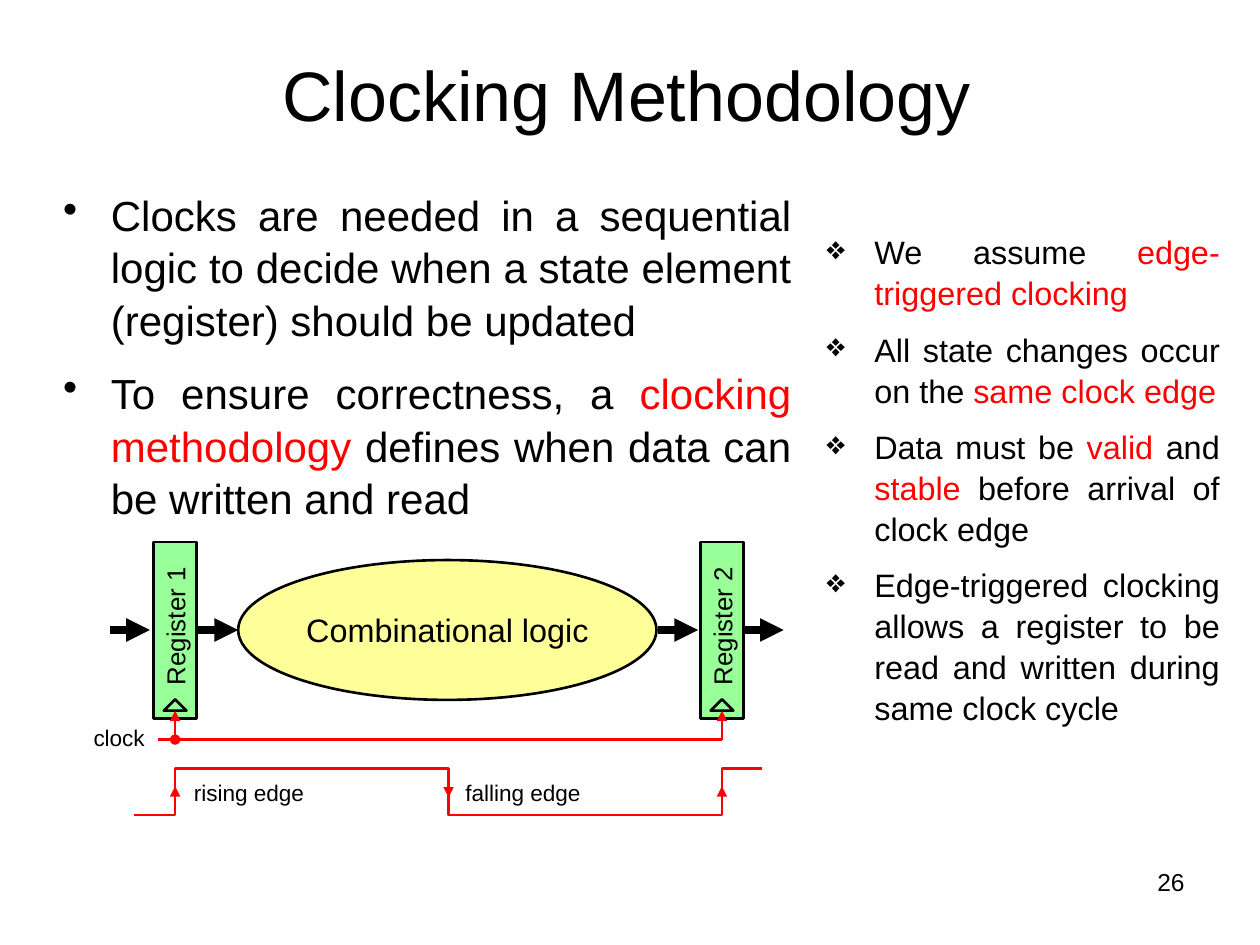
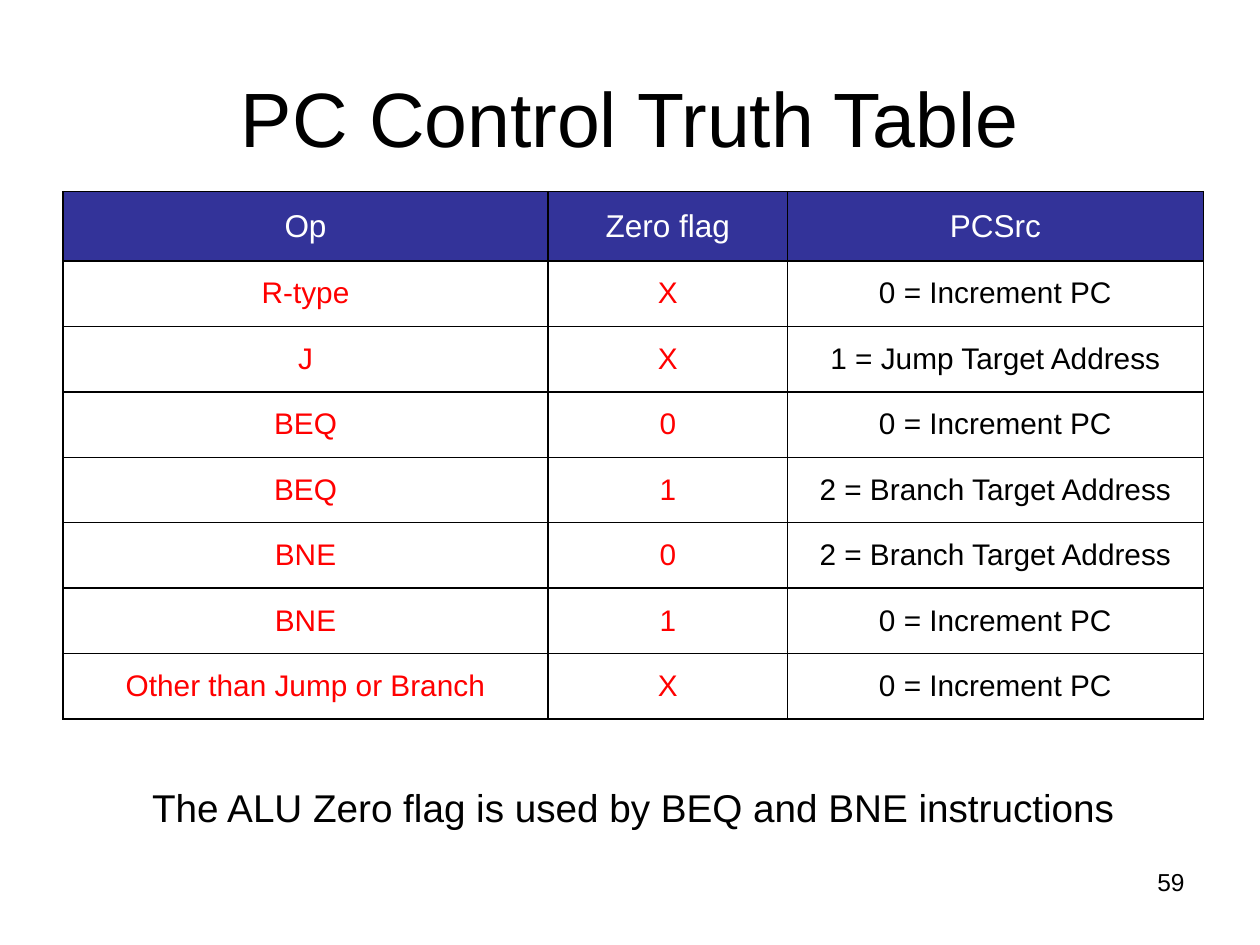
import pptx
import pptx.dml.color
import pptx.enum.shapes
import pptx.enum.text
import pptx.oxml
import pptx.oxml.ns
import pptx.util
from lxml import etree

Inches = pptx.util.Inches
Pt = pptx.util.Pt
RGBColor = pptx.dml.color.RGBColor
Shape = pptx.enum.shapes.MSO_SHAPE
Align = pptx.enum.text.PP_ALIGN
Anchor = pptx.enum.text.MSO_ANCHOR
qn = pptx.oxml.ns.qn

BLACK = RGBColor(0x00, 0x00, 0x00)
WHITE = RGBColor(0xFF, 0xFF, 0xFF)
RED = RGBColor(0xFF, 0x00, 0x00)
GREEN = RGBColor(0x99, 0xFF, 0x99)
YELLOW = RGBColor(0xFF, 0xFF, 0x99)
NAVY = RGBColor(0x33, 0x33, 0x99)
FONT = "Arial"
NO_INSETS = (0, 0, 0, 0)
TEXT_INSETS = (0.1, 0.05, 0.1, 0.05)
BULLET_INSETS = (0, 0.05, 0, 0.05)

CLOCK_POINTS = [
    ["Clocks are needed in a sequential logic to decide when a state element (register) should be updated"],
    ["To ensure correctness, a ", ("clocking methodology", RED), " defines when data can be written and read"],
]
EDGE_POINTS = [
    ["We assume ", ("edge-triggered clocking", RED)],
    ["All state changes occur on the ", ("same clock edge", RED)],
    ["Data must be ", ("valid", RED), " and ", ("stable", RED), " before arrival of clock edge"],
    ["Edge-triggered clocking allows a register to be read and written during same clock cycle"],
]
TRUTH_TABLE = [
    ("Op", "Zero flag", "PCSrc"),
    ("R-type", "X", "0 = Increment PC"),
    ("J", "X", "1 = Jump Target Address"),
    ("BEQ", "0", "0 = Increment PC"),
    ("BEQ", "1", "2 = Branch Target Address"),
    ("BNE", "0", "2 = Branch Target Address"),
    ("BNE", "1", "0 = Increment PC"),
    ("Other than Jump or Branch", "X", "0 = Increment PC"),
]


def style_font(font, size, color=BLACK):
    font.name = FONT
    font.size = Pt(size)
    font.bold = False
    font.color.rgb = color


def prepare_frame(frame, insets, anchor):
    frame.word_wrap = True
    frame.vertical_anchor = anchor
    (frame.margin_left, frame.margin_top,
     frame.margin_right, frame.margin_bottom) = map(Inches, insets)


def write_line(frame, text, size, color=BLACK, align=Align.CENTER):
    paragraph = frame.paragraphs[0]
    paragraph.text = text
    paragraph.alignment = align
    style_font(paragraph.font, size, color)
    return paragraph


def add_text(shapes, box, text, size, align=Align.CENTER, anchor=Anchor.MIDDLE, insets=NO_INSETS):
    text_box = shapes.add_textbox(*map(Inches, box))
    prepare_frame(text_box.text_frame, insets, anchor)
    return write_line(text_box.text_frame, text, size, align=align)


def add_bullets(slide, box, points, mark, size, gap, line_spacing):
    frame = slide.shapes.add_textbox(*map(Inches, box)).text_frame
    prepare_frame(frame, BULLET_INSETS, Anchor.TOP)
    for index, point in enumerate(points):
        paragraph = frame.add_paragraph() if index else frame.paragraphs[0]
        paragraph.alignment = Align.JUSTIFY
        paragraph.line_spacing = line_spacing
        paragraph.space_before = Pt(gap if index else 0)
        properties = paragraph._p.get_or_add_pPr()
        properties.set("marL", str(Inches(0.38)))
        properties.set("indent", str(-Inches(0.38)))
        etree.SubElement(properties, qn("a:buChar"), char=mark)
        style_font(paragraph.font, size)
        for part in point:
            text, color = part if isinstance(part, tuple) else (part, BLACK)
            run = paragraph.add_run()
            run.text = text
            style_font(run.font, size, color)


def add_slide(presentation, title, title_box, title_size, number):
    slide = presentation.slides.add_slide(presentation.slide_layouts[6])
    add_text(slide.shapes, title_box, title, title_size, insets=TEXT_INSETS)
    add_text(slide.shapes, (7.17, 6.83, 2.33, 0.52), number, 14,
             Align.RIGHT, Anchor.TOP, TEXT_INSETS)
    return slide


def add_clock_diagram(slide, left, top):
    shapes = slide.shapes.add_group_shape().shapes
    first_edge, falling_edge, second_edge = 0.74, 2.91, 5.08
    data_level, clock_level, high, low = 0.7, 1.57, 1.8, 2.17

    def place(x, y):
        return Inches(left + x), Inches(top + y)

    def add_block(kind, box, fill, rotation=0):
        x, y, width, height = box
        shape = shapes.add_shape(kind, *place(x, y), Inches(width), Inches(height))
        shape.shadow.inherit = False
        shape.rotation = rotation
        shape.fill.solid()
        shape.fill.fore_color.rgb = fill
        shape.line.color.rgb = BLACK
        shape.line.width = Pt(1.5)
        return shape

    def add_line(start, end, color, width, head=None, tail="triangle"):
        connector = shapes.add_connector(
            pptx.enum.shapes.MSO_CONNECTOR.STRAIGHT, *place(*start), *place(*end))
        connector.line.color.rgb = color
        connector.line.width = Pt(width)
        line = connector.line._get_or_add_ln()
        for tag, ending in (("a:headEnd", head), ("a:tailEnd", tail)):
            if ending:
                etree.SubElement(line, qn(tag), type=ending)
        etree.SubElement(connector._element.spPr, qn("a:effectLst"))

    def add_label(x, y, width, height, text, size):
        add_text(shapes, (left + x, top + y, width, height), text, size)

    def add_register(center, name, clock_head=None):
        length, thickness = 1.4, 0.34
        block = add_block(Shape.RECTANGLE,
                          (center - length / 2, data_level - thickness / 2, length, thickness),
                          GREEN, 270)
        prepare_frame(block.text_frame, (0.06, 0, 0, 0), Anchor.MIDDLE)
        write_line(block.text_frame, name, 14.8)
        add_block(Shape.ISOSCELES_TRIANGLE, (center - 0.09, 1.25, 0.18, 0.09), GREEN)
        add_line((center, clock_level), (center, 1.34), RED, 1.5, clock_head)

    add_block(Shape.OVAL, (1.24, data_level - 0.555, 3.32, 1.11), YELLOW)
    add_label(1.24, data_level - 0.555, 3.32, 1.11, "Combinational logic", 18.5)
    add_register(first_edge, "Register 1", "oval")
    add_register(second_edge, "Register 2")
    for x in (0.22, 0.92, 4.57, 5.25):
        add_line((x, data_level), (x + 0.32, data_level), BLACK, 4.5)
    add_line((second_edge, clock_level), (0.6, clock_level), RED, 1.5, tail=None)
    add_label(0, 1.4, 0.59, 0.31, "clock", 12.9)

    wave_points = [(0.41, low)]
    for edge, before, after in ((first_edge, low, high), (falling_edge, high, low),
                                (second_edge, low, high)):
        wave_points += [(edge, before), (edge, after)]
        middle = (high + low) / 2
        step = 0.045 if after > before else -0.045
        add_line((edge, middle - step), (edge, middle + step), RED, 1)
    wave_points.append((5.4, high))
    builder = shapes.build_freeform(*place(*wave_points[0]))
    builder.add_line_segments([place(*point) for point in wave_points[1:]], close=False)
    wave = builder.convert_to_shape()
    wave.shadow.inherit = False
    wave.fill.background()
    wave.line.color.rgb = RED
    wave.line.width = Pt(1.5)
    add_label(0.84, 1.85, 0.97, 0.28, "rising edge", 12.9)
    add_label(2.95, 1.85, 1.1, 0.28, "falling edge", 12.9)


def add_borders(cell):
    properties = cell._tc.get_or_add_tcPr()
    for side in ("a:lnL", "a:lnR", "a:lnT", "a:lnB"):
        line = etree.SubElement(properties, qn(side), w=str(Pt(1)))
        fill = etree.SubElement(line, qn("a:solidFill"))
        etree.SubElement(fill, qn("a:srgbClr"), val=str(BLACK))


def add_truth_table(slide, left, top):
    widths = (3.85, 1.9, 3.3)
    heights = [0.55] + [0.52] * (len(TRUTH_TABLE) - 1)
    table = slide.shapes.add_table(
        len(heights), len(widths), Inches(left), Inches(top),
        Inches(sum(widths)), Inches(sum(heights))).table
    table.horz_banding = False
    for column, width in zip(table.columns, widths):
        column.width = Inches(width)
    for row_index, (height, values) in enumerate(zip(heights, TRUTH_TABLE)):
        table.rows[row_index].height = Inches(height)
        for column_index, value in enumerate(values):
            cell = table.cell(row_index, column_index)
            add_borders(cell)
            cell.vertical_anchor = Anchor.MIDDLE
            cell.margin_left = cell.margin_right = Inches(0.03)
            cell.margin_top = cell.margin_bottom = Inches(0.02)
            if row_index == 0:
                cell.fill.solid()
                cell.fill.fore_color.rgb = NAVY
                write_line(cell.text_frame, value, 18, WHITE)
            else:
                cell.fill.background()
                write_line(cell.text_frame, value, 17, RED if column_index < 2 else BLACK)


def add_clocking_slide(presentation):
    slide = add_slide(presentation, "Clocking Methodology", (0.47, 0.12, 9, 1.25), 40, "26")
    add_bullets(slide, (0.5, 1.44, 5.78, 2.67), CLOCK_POINTS, "•", 24, 12, 1.04)
    add_clock_diagram(slide, 0.65, 4.3)
    add_bullets(slide, (6.56, 1.78, 3.12, 4.62), EDGE_POINTS, "❖", 18.5, 9, 1.05)


def add_truth_table_slide(presentation):
    slide = add_slide(presentation, "PC Control Truth Table", (0.5, 0.3, 9, 1.25), 44, "59")
    add_truth_table(slide, 0.5, 1.52)
    note = add_text(slide.shapes, (0.5, 6.06, 9.05, 0.65),
                    "The ALU Zero flag is used by BEQ and BNE instructions", 22.1,
                    insets=TEXT_INSETS)
    note.line_spacing = 1.1


def main():
    presentation = pptx.Presentation()
    presentation.slide_width = Inches(10)
    presentation.slide_height = Inches(7.5)
    add_clocking_slide(presentation)
    add_truth_table_slide(presentation)
    presentation.save("out.pptx")


if __name__ == "__main__":
    main()
